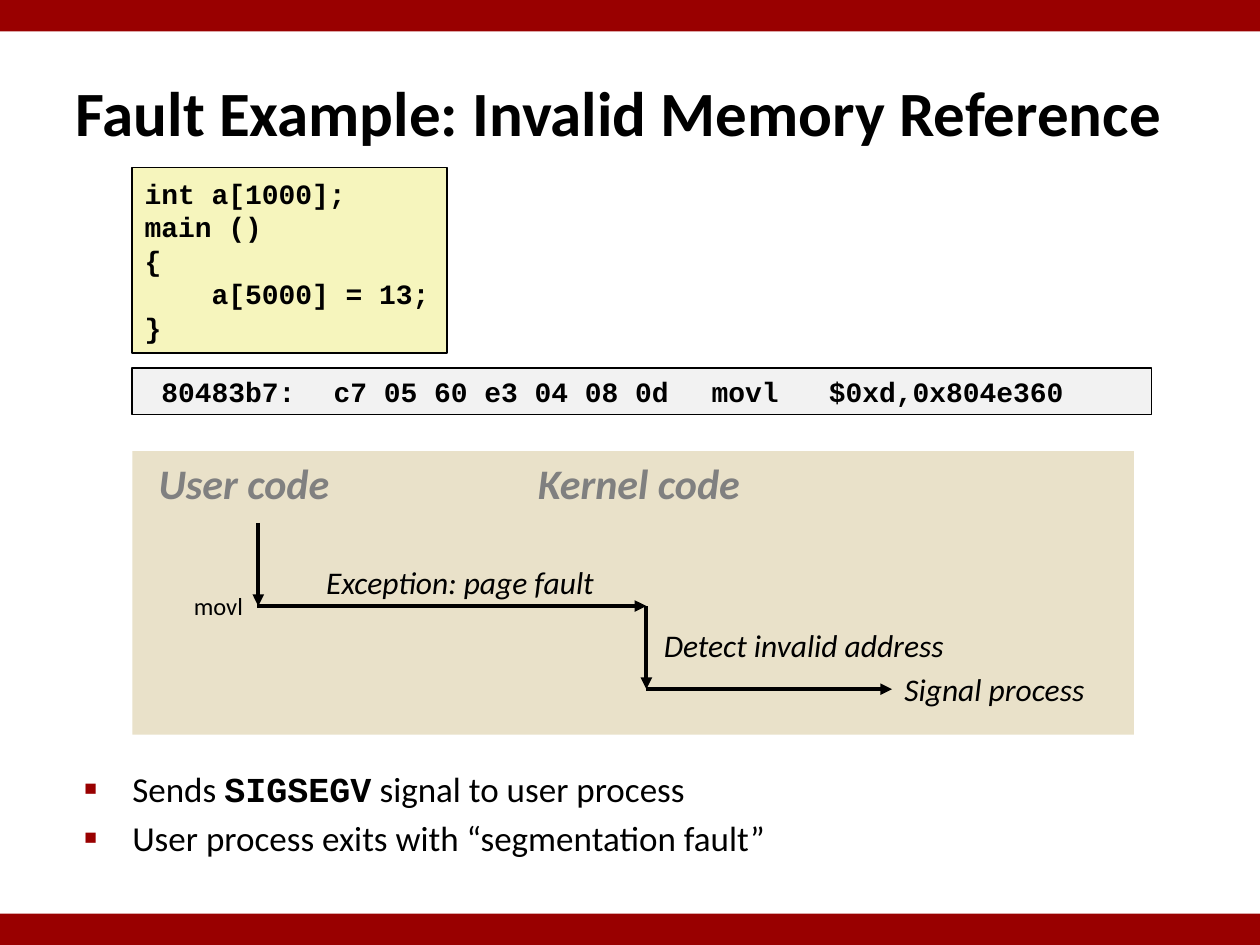
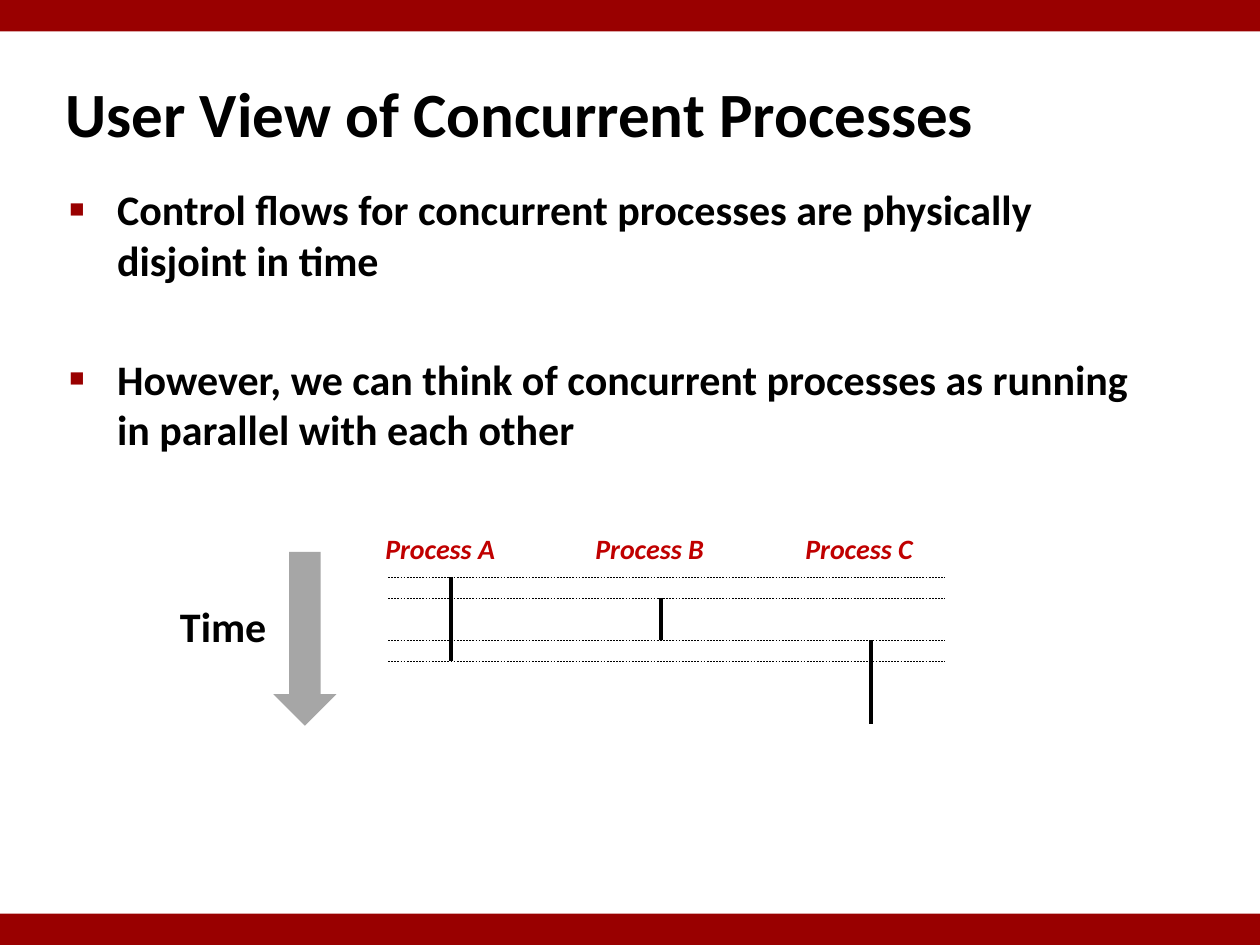
from lxml import etree
from pptx import Presentation
from pptx.dml.color import RGBColor
from pptx.enum.dml import MSO_LINE
from pptx.enum.shapes import MSO_CONNECTOR, MSO_SHAPE
from pptx.enum.text import MSO_ANCHOR, MSO_AUTO_SIZE, PP_ALIGN
from pptx.oxml.ns import qn
from pptx.util import Inches, Pt

RECTANGLE = MSO_SHAPE.RECTANGLE
DOWN_ARROW = MSO_SHAPE.DOWN_ARROW
STRAIGHT = MSO_CONNECTOR.STRAIGHT
DASH = MSO_LINE.DASH
MIDDLE = MSO_ANCHOR.MIDDLE
TOP = MSO_ANCHOR.TOP
LEFT = PP_ALIGN.LEFT
FIXED_SIZE = MSO_AUTO_SIZE.NONE
LEFT_SIDE, RIGHT_SIDE = 1, 3

SLIDE_WIDTH, SLIDE_HEIGHT, BAND_HEIGHT = 10, 7.5, 0.25
BLACK = "000000"
BAND_RED = "990000"
PROCESS_RED = "C00000"
HEADING_GRAY = "808080"
ARROW_GRAY = "A6A6A6"
CODE_YELLOW = "F6F5BD"
ASSEMBLY_GRAY = "F2F2F2"
PANEL_TAN = "E9E1C9"
BODY_FONT = "Calibri"
CODE_FONT = "Courier New"


def color(hex_value):
    return RGBColor.from_string(hex_value)


def write(paragraph, text, size=18, font=BODY_FONT, fill=BLACK, bold=False, italic=False):
    run = paragraph.add_run()
    run.text = text
    run.font.size = Pt(size)
    run.font.name = font
    run.font.color.rgb = color(fill)
    run.font.bold = bold
    run.font.italic = italic


def place(shape, box):
    shape.left, shape.top, shape.width, shape.height = (Inches(value) for value in box)


def add_filled(slide, box, fill, line=None, kind=RECTANGLE):
    shape = slide.shapes.add_shape(kind, *(Inches(value) for value in box))
    shape.shadow.inherit = False
    shape.fill.solid()
    shape.fill.fore_color.rgb = color(fill)
    if line:
        shape.line.color.rgb = color(line)
        shape.line.width = Pt(1)
    else:
        shape.line.fill.background()
    return shape


def add_label(slide, box, text, **text_format):
    label = slide.shapes.add_textbox(*(Inches(value) for value in box))
    label.text_frame.word_wrap = False
    write(label.text_frame.paragraphs[0], text, **text_format)
    return label


def add_line(slide, start, end, width, arrow=False, dash=None):
    points = (Inches(value) for value in (*start, *end))
    connector = slide.shapes.add_connector(STRAIGHT, *points)
    connector.line.color.rgb = color(BLACK)
    connector.line.width = Pt(width)
    if dash:
        connector.line.dash_style = dash
    if arrow:
        line_element = connector.line._get_or_add_ln()
        etree.SubElement(line_element, qn("a:tailEnd"), type="triangle")
    etree.SubElement(connector._element.spPr, qn("a:effectLst"))
    return connector


def add_code(slide, box, lines, fill):
    shape = add_filled(slide, box, fill, line=BLACK)
    frame = shape.text_frame
    frame.word_wrap = False
    frame.vertical_anchor = MIDDLE
    for index, line in enumerate(lines):
        paragraph = frame.add_paragraph() if index else frame.paragraphs[0]
        paragraph.alignment = LEFT
        write(paragraph, line, size=16, font=CODE_FONT, bold=True)


def add_bullet(paragraph):
    properties = paragraph._p.get_or_add_pPr()
    properties.set("marL", str(Inches(0.38)))
    properties.set("indent", str(Inches(-0.38)))
    bullet_color = etree.SubElement(properties, qn("a:buClr"))
    etree.SubElement(bullet_color, qn("a:srgbClr"), val=BAND_RED)
    etree.SubElement(properties, qn("a:buSzPct"), val="60000")
    etree.SubElement(properties, qn("a:buFont"), typeface="Arial")
    etree.SubElement(properties, qn("a:buChar"), char="■")


def add_base_slide(presentation, title, title_box):
    slide = presentation.slides.add_slide(presentation.slide_layouts[1])
    place(slide.shapes.title, title_box)
    frame = slide.shapes.title.text_frame
    frame.auto_size = FIXED_SIZE
    frame.vertical_anchor = MIDDLE
    frame.paragraphs[0].alignment = LEFT
    write(frame.paragraphs[0], title, size=36, bold=True)
    for top in (0, SLIDE_HEIGHT - BAND_HEIGHT):
        add_filled(slide, (0, top, SLIDE_WIDTH, BAND_HEIGHT), BAND_RED)
    return slide


def fill_body(slide, box, items, gap, **text_format):
    body = slide.placeholders[1]
    place(body, box)
    frame = body.text_frame
    frame.auto_size = FIXED_SIZE
    frame.vertical_anchor = TOP
    for index, runs in enumerate(items):
        paragraph = frame.add_paragraph() if index else frame.paragraphs[0]
        paragraph.space_before = Pt(gap if index else 0)
        add_bullet(paragraph)
        for text, changes in runs:
            write(paragraph, text, **{**text_format, **changes})


def add_fault_diagram(slide, box):
    left, top = box[:2]
    add_filled(slide, box, PANEL_TAN)
    for text, offset, width in (("User code", 0.11, 1.65), ("Kernel code", 3.12, 1.91)):
        add_label(slide, (left + offset, top, width, 0.5), text,
                  size=24, fill=HEADING_GRAY, bold=True, italic=True)

    instruction = add_label(slide, (left + 0.39, top + 1.06, 0.6, 0.34), "movl", size=14)
    events = {}
    for text, offset_x, offset_y, width in (
        ("Exception: page fault", 1.44, 0.84, 2.42),
        ("Detect invalid address", 4.12, 1.34, 2.5),
        ("Signal process", 6.03, 1.69, 1.75),
    ):
        events[text] = add_label(slide, (left + offset_x, top + offset_y, width, 0.4),
                                 text, italic=True)

    user_x, kernel_x, signal_x = left + 1, left + 4.08, left + 6.03
    start_y, fault_y, signal_y = top + 0.57, top + 1.23, top + 1.89
    add_line(slide, (user_x, start_y), (user_x, fault_y), 2.25, arrow=True)
    exception = add_line(slide, (user_x, fault_y), (kernel_x, fault_y), 2.25, arrow=True)
    exception.begin_connect(instruction, RIGHT_SIDE)
    add_line(slide, (kernel_x, fault_y), (kernel_x, signal_y), 2.25, arrow=True)
    signal = add_line(slide, (kernel_x, signal_y), (signal_x, signal_y), 2.25, arrow=True)
    signal.end_connect(events["Signal process"], LEFT_SIDE)


def add_process_timeline(slide, box):
    left, top, width, height = box
    add_label(slide, (left, top + 0.55, 0.89, 0.5), "Time", size=24, bold=True)
    add_filled(slide, (left + 0.84, top + 0.21, 0.5, height - 0.21), ARROW_GRAY, kind=DOWN_ARROW)

    column_step = 5 / 3
    time_slice = 1 / 3
    timeline_top = top + 0.41
    first_column = left + 2.25
    processes = (("Process A", 0, 2), ("Process B", 0.5, 1), ("Process C", 1.5, 2))
    for index, (name, start, slices) in enumerate(processes):
        x = first_column + index * column_step
        add_label(slide, (x - 0.62, top, 1.08, 0.37), name,
                  size=16, fill=PROCESS_RED, bold=True, italic=True)
        for number in range(slices):
            y = timeline_top + (start + number) * time_slice
            add_line(slide, (x, y), (x, y + time_slice), 2)
    for moment in (0, 0.5, 1.5, 2):
        y = timeline_top + moment * time_slice
        add_line(slide, (left + 1.75, y), (left + width, y), 0.25, dash=DASH)


def build_fault_slide(presentation):
    slide = add_base_slide(presentation, "Fault Example: Invalid Memory Reference",
                           (0.5, 0.58, 9.5, 0.61))
    fill_body(slide, (0.57, 6.04, 7.33, 0.96), [
        [("Sends ", {}), ("SIGSEGV", {"font": CODE_FONT, "bold": True}),
         (" signal to user process", {})],
        [("User process exits with “segmentation fault”", {})],
    ], gap=4, size=20)
    add_code(slide, (1.05, 1.33, 2.5, 1.47),
             ["int a[1000];", "main ()", "{", "    a[5000] = 13;", "}"], CODE_YELLOW)
    add_code(slide, (1.05, 2.92, 8.09, 0.37),
             [" 80483b7:\tc7 05 60 e3 04 08 0d \tmovl   $0xd,0x804e360"], ASSEMBLY_GRAY)
    add_fault_diagram(slide, (1.05, 3.58, 7.95, 2.25))


def build_concurrency_slide(presentation):
    slide = add_base_slide(presentation, "User View of Concurrent Processes",
                           (0.42, 0.58, 9.25, 0.63))
    fill_body(slide, (0.45, 1.41, 8.64, 2.18), [
        [("Control flows for concurrent processes are physically disjoint in time", {})],
        [("However, we can think of concurrent processes as running "
          "in parallel with each other", {})],
    ], gap=39, size=24, bold=True)
    add_process_timeline(slide, (1.33, 4.17, 6.17, 1.59))


def main():
    presentation = Presentation()
    presentation.slide_width = Inches(SLIDE_WIDTH)
    presentation.slide_height = Inches(SLIDE_HEIGHT)
    build_fault_slide(presentation)
    build_concurrency_slide(presentation)
    presentation.save("out.pptx")


if __name__ == "__main__":
    main()
